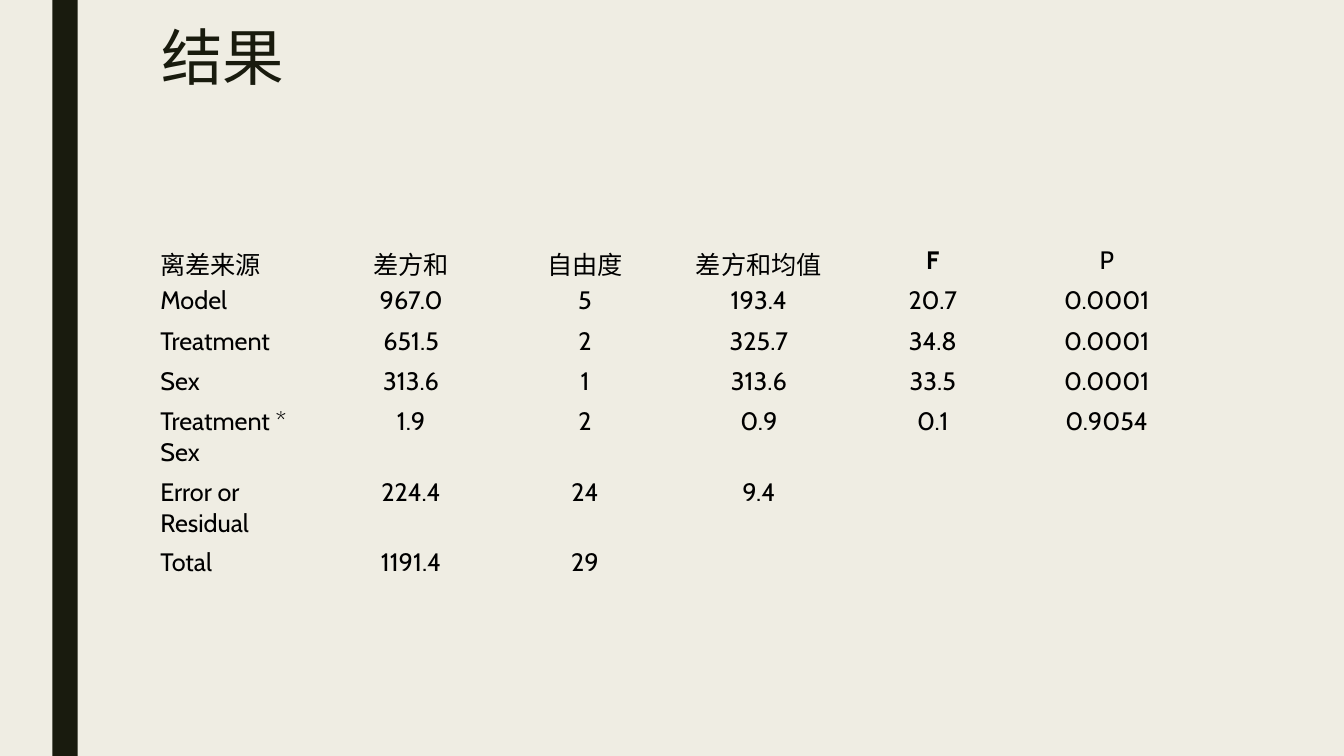
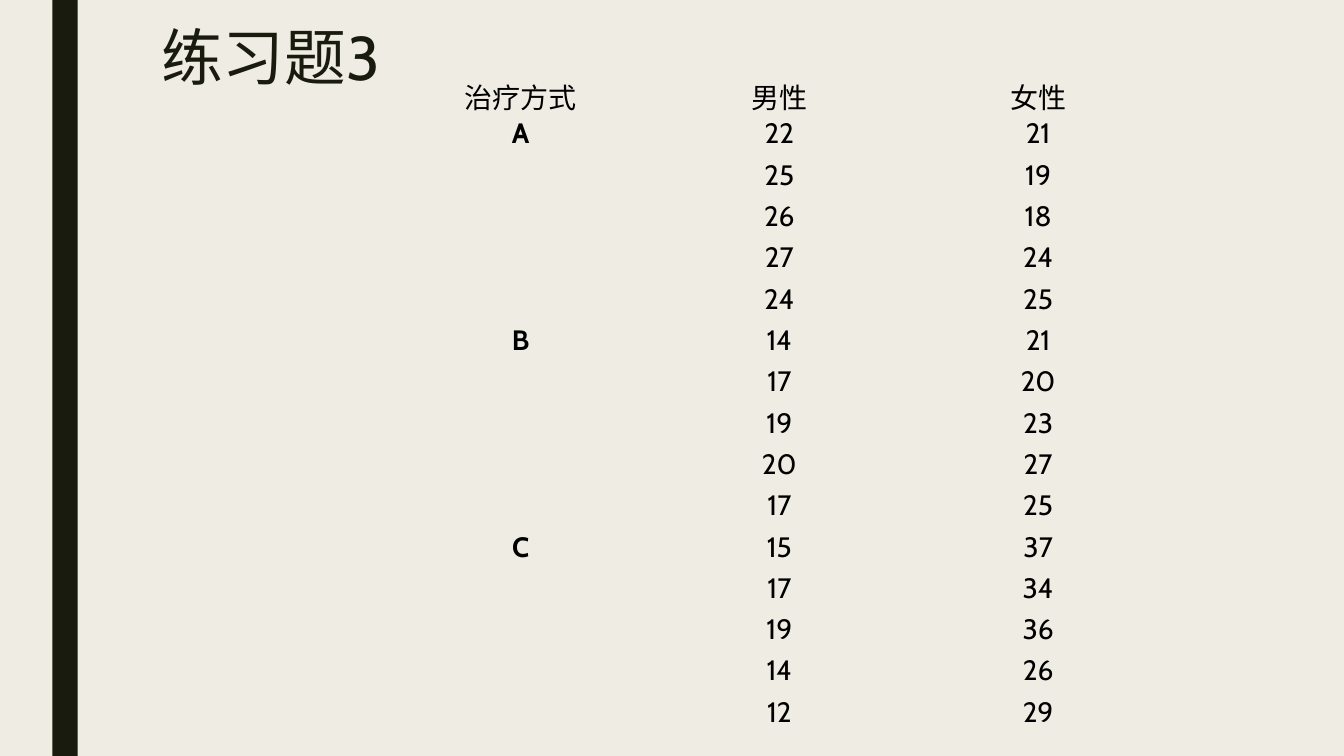
from dataclasses import dataclass

from pptx import Presentation
from pptx.dml.color import RGBColor
from pptx.enum.shapes import MSO_SHAPE
from pptx.enum.text import MSO_ANCHOR, PP_ALIGN
from pptx.oxml.ns import qn
from pptx.slide import Slide
from pptx.util import Inches, Pt

RECT = MSO_SHAPE.RECTANGLE
TOP = MSO_ANCHOR.TOP
LEFT, CENTER = PP_ALIGN.LEFT, PP_ALIGN.CENTER

COLORS = {"paper": "EFEDE3", "dark": "191B0E", "text": "000000"}
FONT = "Cabin"
NO_STYLE_NO_GRID = "{2D5ABB26-0587-4C30-8999-92F81FD0307C}"
BOLD_LABELS = {"F", "A", "B", "C"}


@dataclass
class TableSpec:
    rows: list[list[str]]
    left: float
    top: float
    width: float
    row_height: float
    size: int
    margins: tuple[float, float, float, float]  # left, top, right, bottom
    first_align: PP_ALIGN


def rgb(name: str) -> RGBColor:
    return RGBColor.from_string(COLORS[name])


# Shared frame: side bar and title
def add_base(prs, title: str) -> Slide:
    s = prs.slides.add_slide(prs.slide_layouts[6])
    s.background.fill.solid()
    s.background.fill.fore_color.rgb = rgb("paper")

    bar = s.shapes.add_shape(RECT, Inches(0.52), 0, Inches(0.25), prs.slide_height)
    bar.shadow.inherit = False
    bar.fill.solid()
    bar.fill.fore_color.rgb = rgb("dark")
    bar.line.fill.background()

    sp = s.shapes.add_textbox(Inches(1.5), Inches(0.23), Inches(10.5), Inches(1.62))
    tf = sp.text_frame
    tf.word_wrap = True
    tf.vertical_anchor = TOP
    tf.text = title
    p = tf.paragraphs[0]
    p.line_spacing = 0.89
    style_runs(p, 44, "dark")
    return s


def style_runs(p, size: int, color: str, bold: bool = False) -> None:
    for r in p.runs:
        r.font.name = FONT
        r.font.size = Pt(size)
        r.font.bold = bold
        r.font.color.rgb = rgb(color)


# Plain table without grid or banding
def add_plain_table(s: Slide, spec: TableSpec) -> None:
    n_rows, n_cols = len(spec.rows), len(spec.rows[0])
    table = s.shapes.add_table(
        n_rows, n_cols, Inches(spec.left), Inches(spec.top),
        Inches(spec.width), Inches(spec.row_height * n_rows)).table
    table.first_row = False
    table.horz_banding = False
    table._tbl.tblPr.find(qn("a:tableStyleId")).text = NO_STYLE_NO_GRID

    for i, values in enumerate(spec.rows):
        for j, value in enumerate(values):
            cell = table.cell(i, j)
            cell.fill.background()
            cell.vertical_anchor = TOP
            (cell.margin_left, cell.margin_top,
             cell.margin_right, cell.margin_bottom) = map(Inches, spec.margins)
            cell.text_frame.text = value
            p = cell.text_frame.paragraphs[0]
            p.alignment = CENTER if j else spec.first_align
            style_runs(p, spec.size, "text", value in BOLD_LABELS)


# Analysis of variance results
ANOVA = [
    ["离差来源", "差方和", "自由度", "差方和均值", "F", "P"],
    ["Model", "967.0", "5", "193.4", "20.7", "0.0001"],
    ["Treatment", "651.5", "2", "325.7", "34.8", "0.0001"],
    ["Sex", "313.6", "1", "313.6", "33.5", "0.0001"],
    ["Treatment * Sex", "1.9", "2", "0.9", "0.1", "0.9054"],
    ["Error or Residual", "224.4", "24", "9.4", "", ""],
    ["Total", "1191.4", "29", "", "", ""],
]

# Exercise data: (male, female) pairs for each treatment
TREATMENTS = {
    "A": [(22, 21), (25, 19), (26, 18), (27, 24), (24, 25)],
    "B": [(14, 21), (17, 20), (19, 23), (20, 27), (17, 25)],
    "C": [(15, 37), (17, 34), (19, 36), (14, 26), (12, 29)],
}
EXERCISE = [["治疗方式", "男性", "女性"]] + [
    ["" if k else name, str(male), str(female)]
    for name, pairs in TREATMENTS.items()
    for k, (male, female) in enumerate(pairs)
]

SLIDES = [
    ("结果", TableSpec(ANOVA, 1.49, 2.38, 10.35, 0.4, 18,
                     (0.1, 0.05, 0.1, 0.05), LEFT)),
    ("练习题3", TableSpec(EXERCISE, 3.88, 0.71, 7.7, 0.41, 20,
                       (0.07, 0.04, 0.07, 0.03), CENTER)),
]

prs = Presentation()
prs.slide_width, prs.slide_height = Inches(13.33), Inches(7.5)
for title, spec in SLIDES:
    add_plain_table(add_base(prs, title), spec)
prs.save("out.pptx")
